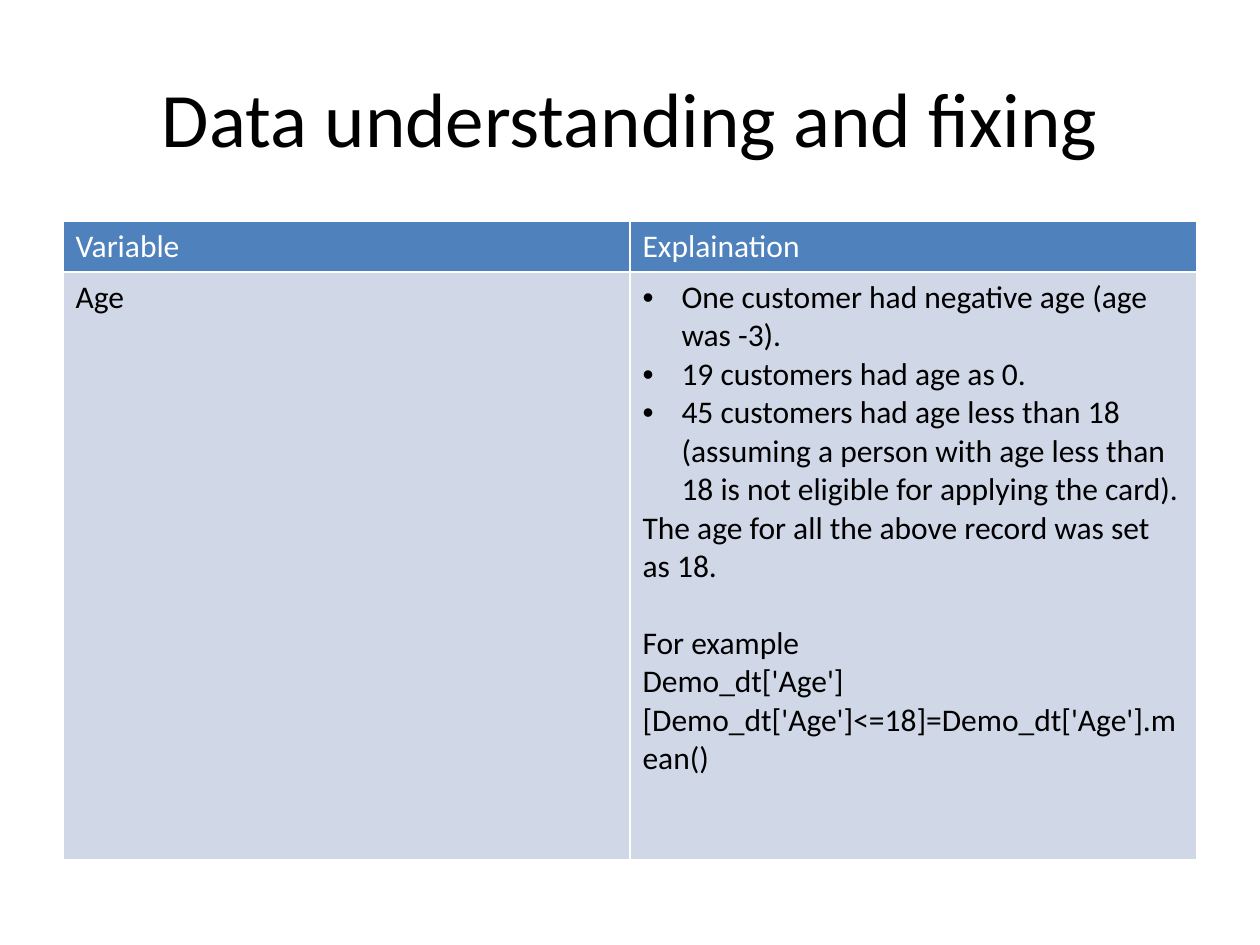
"""Build a slide with a title and a two-column table about fixing the age variable."""
from lxml.etree import SubElement
from pptx import Presentation
from pptx.dml.color import RGBColor
from pptx.enum.text import MSO_ANCHOR, PP_ALIGN
from pptx.oxml import parse_xml
from pptx.oxml.ns import nsdecls, qn
from pptx.util import Pt

SCALE = 914400 // 126
FONT = "Calibri"
COLORS = {"black": "000000", "white": "FFFFFF", "header": "4F81BD", "body": "D0D8E8"}

HEADERS = ["Variable", "Explaination"]
FINDINGS = [
    "One customer had negative age (age was -3).",
    "19 customers had age as 0.",
    "45 customers had age less than 18 (assuming a person with age less than 18 "
    "is not eligible for applying the card).",
]
FIX = "The age for all the above record was set as 18."
EXAMPLE = "For example"
CODE = "Demo_dt['Age'][Demo_dt['Age']<=18]=Demo_dt['Age'].mean()"


def px(length):
    """Turn pixels into EMU."""
    return length * SCALE


def color(name):
    """Look up a named colour."""
    return RGBColor.from_string(COLORS[name])


def add_text(frame, text, size=18, ink="black", align=PP_ALIGN.LEFT, bullet=False, before=0):
    """Write one formatted paragraph into a text frame."""
    first = frame.paragraphs[0]
    para = frame.add_paragraph() if first.runs else first
    para.alignment = align
    if before:
        para.space_before = Pt(before)
    if bullet:
        properties = para._p.get_or_add_pPr()
        properties.set("marL", str(px(39)))
        properties.set("indent", str(px(-39)))
        SubElement(properties, qn("a:buFont")).set("typeface", "Arial")
        SubElement(properties, qn("a:buChar")).set("char", "•")
    span = para.add_run()
    span.text = text
    span.font.name = FONT
    span.font.size = Pt(size)
    span.font.bold = False
    span.font.color.rgb = color(ink)


def style_cell(cell, fill):
    """Fill a cell and give it thin white borders."""
    cell.fill.solid()
    cell.fill.fore_color.rgb = color(fill)
    properties = cell._tc.get_or_add_tcPr()
    for position, side in enumerate("LRTB"):
        properties.insert(position, parse_xml(
            f'<a:ln{side} {nsdecls("a")} w="{Pt(1)}"><a:solidFill>'
            f'<a:srgbClr val="{COLORS["white"]}"/></a:solidFill></a:ln{side}>'))


def add_title(page, text):
    """Place and fill the title placeholder."""
    title = page.shapes.title
    title.left, title.top, title.width, title.height = map(px, (63, 38, 1134, 157))
    title.text_frame.vertical_anchor = MSO_ANCHOR.MIDDLE
    add_text(title.text_frame, text, size=44, align=PP_ALIGN.CENTER)


def add_age_table(page):
    """Add the table of variables and explanations."""
    heights = (51, 588)
    frame = page.shapes.add_table(2, 2, px(63), px(221), px(1134), px(sum(heights)))
    table = frame.table
    for row, height, fill in zip(table.rows, heights, ("header", "body")):
        row.height = px(height)
        for cell in row.cells:
            style_cell(cell, fill)
    for cell, header in zip(table.rows[0].cells, HEADERS):
        add_text(cell.text_frame, header, ink="white")
    add_text(table.cell(1, 0).text_frame, "Age")
    explanation = table.cell(1, 1).text_frame
    for finding in FINDINGS:
        add_text(explanation, finding, bullet=True)
    add_text(explanation, FIX)
    add_text(explanation, EXAMPLE, before=22)
    add_text(explanation, CODE)


def main():
    """Build and save the deck."""
    deck = Presentation()
    deck.slide_width, deck.slide_height = px(1260), px(945)
    page = deck.slides.add_slide(deck.slide_layouts[5])
    add_title(page, "Data understanding and fixing")
    add_age_table(page)
    deck.save("out.pptx")


main()
